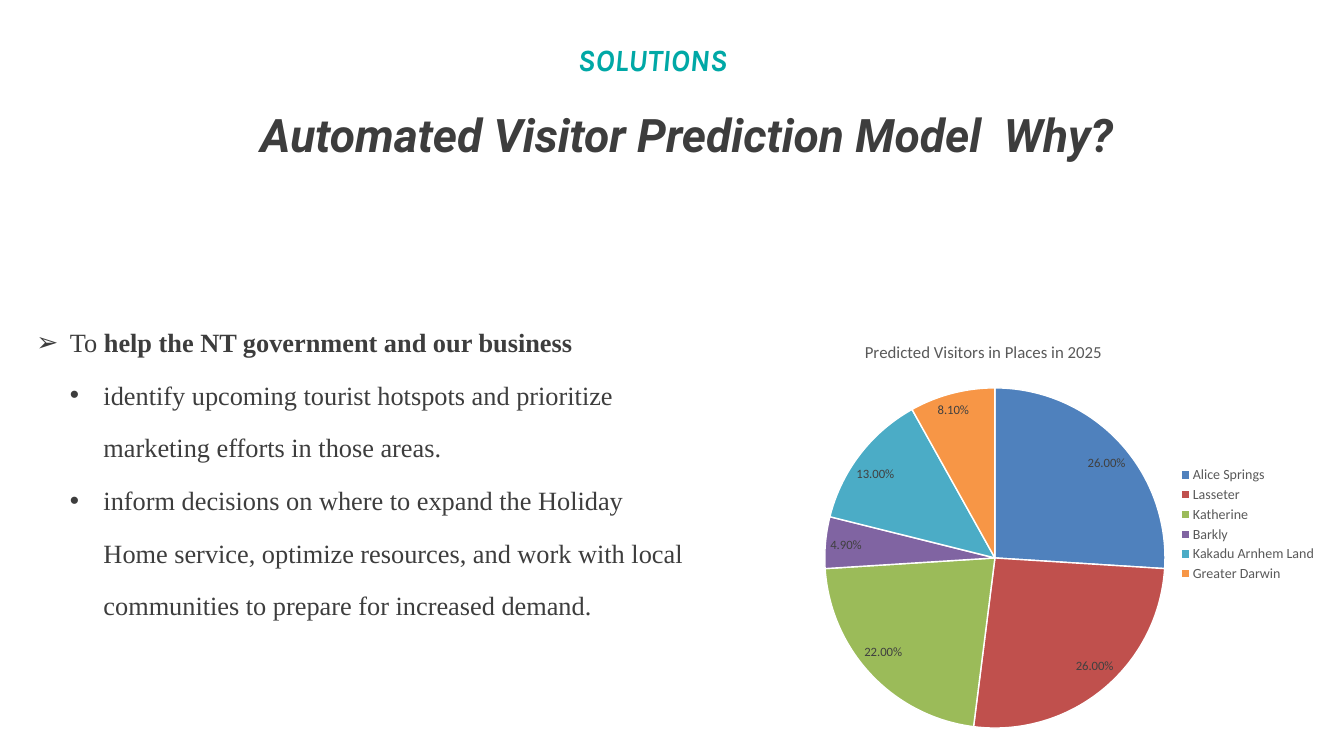
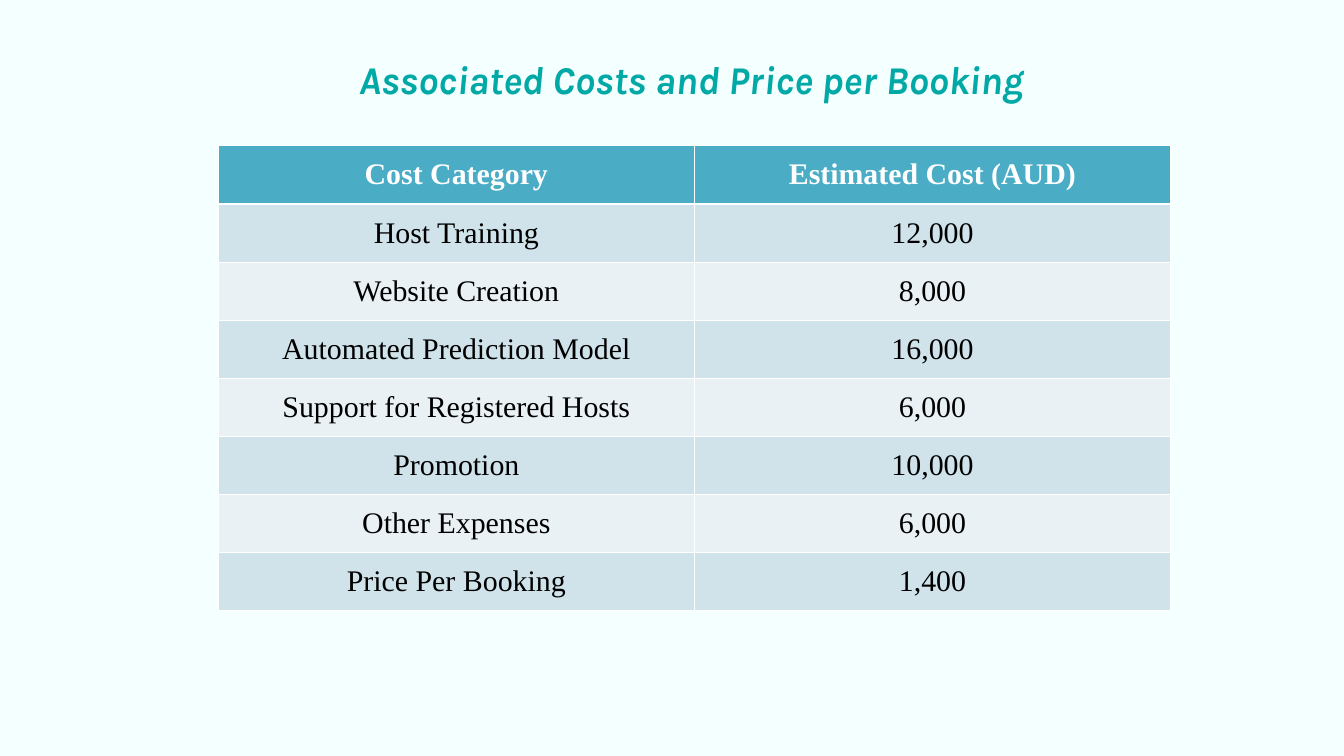
from lxml.etree import SubElement
from pptx import Presentation
from pptx.chart.data import CategoryChartData
from pptx.dml.color import RGBColor
from pptx.enum.chart import XL_CHART_TYPE, XL_LABEL_POSITION, XL_LEGEND_POSITION
from pptx.enum.text import MSO_ANCHOR, MSO_AUTO_SIZE, PP_ALIGN
from pptx.oxml import parse_xml
from pptx.oxml.ns import nsdecls, qn
from pptx.util import Inches, Pt

WHITE = RGBColor(0xFF, 0xFF, 0xFF)
BLACK = RGBColor(0, 0, 0)
MINT = RGBColor(0xF4, 0xFF, 0xFF)
TEAL = RGBColor(0x00, 0xA8, 0xA6)
CHARCOAL = RGBColor(0x3D, 0x3D, 0x3D)
LABEL_GREY = RGBColor(0x40, 0x40, 0x40)
CAPTION_GREY = RGBColor(0x59, 0x59, 0x59)
HEADER_BLUE = RGBColor(0x4B, 0xAC, 0xC6)
BAND_DARK = RGBColor(0xD0, 0xE3, 0xEA)
BAND_LIGHT = RGBColor(0xE9, 0xF1, 0xF5)

HEADING_FONT, KICKER_FONT = "Roboto", "Karla"
BODY_FONT, CHART_FONT = "Times New Roman", "Calibri"

KICKER = "SOLUTIONS"
MODEL_TITLE = "Automated Visitor Prediction Model  Why?"
COST_TITLE = "Associated Costs and Price per Booking"

REASONS = [
    (0, "➢", [("To ", False), ("help the NT government and our business", True)]),
    (1, "•", [("identify upcoming tourist hotspots and prioritize marketing "
               "efforts in those areas.", False)]),
    (1, "•", [("inform decisions on where to expand the Holiday Home service, "
               "optimize resources, and work with local communities to prepare "
               "for increased demand.", False)]),
]

CHART_TITLE = "Predicted Visitors in Places in 2025"
VISITOR_SHARES = [
    ("Alice Springs", 0.26, RGBColor(0x4F, 0x81, 0xBD)),
    ("Lasseter", 0.26, RGBColor(0xC0, 0x50, 0x4D)),
    ("Katherine", 0.22, RGBColor(0x9B, 0xBB, 0x59)),
    ("Barkly", 0.049, RGBColor(0x80, 0x64, 0xA2)),
    ("Kakadu Arnhem Land", 0.13, HEADER_BLUE),
    ("Greater Darwin", 0.081, RGBColor(0xF7, 0x96, 0x46)),
]

COSTS = [
    ("Cost Category", "Estimated Cost (AUD)"),
    ("Host Training", "12,000"),
    ("Website Creation", "8,000"),
    ("Automated Prediction Model", "16,000"),
    ("Support for Registered Hosts", "6,000"),
    ("Promotion", "10,000"),
    ("Other Expenses", "6,000"),
    ("Price Per Booking", "1,400"),
]


def style_font(font, name, size, color, bold=None, italic=None):
    font.name, font.size, font.bold, font.italic = name, Pt(size), bold, italic
    font.color.rgb = color


def place(shape, left, top, width, height):
    shape.left, shape.top = Inches(left), Inches(top)
    shape.width, shape.height = Inches(width), Inches(height)
    frame = shape.text_frame
    frame.word_wrap = True
    frame.auto_size = MSO_AUTO_SIZE.NONE
    frame.vertical_anchor = MSO_ANCHOR.TOP
    frame.margin_left = frame.margin_top = frame.margin_right = frame.margin_bottom = 0
    return frame


def write_heading(shape, box, text, name, size, color, line_spacing):
    paragraph = place(shape, *box).paragraphs[0]
    paragraph.text = text
    paragraph.alignment = PP_ALIGN.CENTER
    paragraph.line_spacing = Pt(line_spacing)
    style_font(paragraph.font, name, size, color, True, True)


def add_slide(presentation, layout_index, background):
    slide = presentation.slides.add_slide(presentation.slide_layouts[layout_index])
    slide.background.fill.solid()
    slide.background.fill.fore_color.rgb = background
    return slide


def write_reasons(shape):
    frame = place(shape, 0.54, 4.54, 9.71, 4.61)
    for index, (level, bullet, runs) in enumerate(REASONS):
        paragraph = frame.add_paragraph() if index else frame.paragraphs[0]
        paragraph.level = level
        paragraph.line_spacing = Pt(56.4)
        paragraph.space_before = Pt(0)
        properties = paragraph._p.get_or_add_pPr()
        properties.set("marL", str(Inches(0.5 * (level + 1))))
        properties.set("indent", str(Inches(-0.5)))
        SubElement(properties, qn("a:buFont"), typeface="Arial")
        SubElement(properties, qn("a:buChar"), char=bullet)
        style_font(paragraph.font, BODY_FONT, 28.2, CHARCOAL)
        for text, bold in runs:
            run = paragraph.add_run()
            run.text = text
            run.font.bold = bold


def set_layout(element, position, **shares):
    for layout in element.findall(qn("c:layout")):
        element.remove(layout)
    modes = "".join(f'<c:{axis}Mode val="edge"/>' for axis in "xy")
    values = "".join(f'<c:{key} val="{share}"/>' for key, share in shares.items())
    element.insert(position, parse_xml(
        f'<c:layout {nsdecls("c")}><c:manualLayout>{modes}{values}'
        "</c:manualLayout></c:layout>"))


def add_visitor_chart(slide):
    names, shares, colors = zip(*VISITOR_SHARES)
    data = CategoryChartData(number_format="0.00%")
    data.categories = names
    data.add_series("Series 1", shares)
    chart = slide.shapes.add_chart(
        XL_CHART_TYPE.PIE, Inches(11.61), Inches(4.71), Inches(8.09), Inches(6.25),
        data).chart
    style_font(chart.font, CHART_FONT, 10, BLACK)

    chart.has_title = True
    title = chart.chart_title.text_frame.paragraphs[0]
    title.text = CHART_TITLE
    style_font(title.font, CHART_FONT, 18, CAPTION_GREY, False)

    chart.has_legend = True
    chart.legend.position = XL_LEGEND_POSITION.RIGHT
    chart.legend.include_in_layout = False
    style_font(chart.legend.font, CHART_FONT, 15, CAPTION_GREY)

    plot = chart.plots[0]
    plot.vary_by_categories = True
    series = plot.series[0]
    for index, color in enumerate(colors):
        point = series.points[index].format
        point.fill.solid()
        point.fill.fore_color.rgb = color
        point.line.color.rgb = WHITE
        point.line.width = Pt(1.5)
    labels = series.data_labels
    labels.show_value = True
    labels.position = XL_LABEL_POSITION.BEST_FIT
    labels.number_format = "0.00%"
    labels.number_format_is_linked = False
    style_font(labels.font, CHART_FONT, 13.6, LABEL_GREY)

    root = chart.element.find(qn("c:chart"))
    set_layout(root.find(qn("c:title")), 1, x=0.15, y=0.05)
    set_layout(root.find(qn("c:plotArea")), 0, x=0.08, y=0.17, w=0.63, h=0.81)
    set_layout(root.find(qn("c:legend")), 1, x=0.73, y=0.35, w=0.26, h=0.29)


def add_borders(cell, top, bottom):
    properties = cell._tc.get_or_add_tcPr()
    for side, width in (("L", 1), ("R", 1), ("T", top), ("B", bottom)):
        line = SubElement(properties, qn(f"a:ln{side}"), w=str(Pt(width)))
        fill = SubElement(line, qn("a:solidFill"))
        SubElement(fill, qn("a:srgbClr"), val=str(WHITE))


def add_cost_table(slide):
    table = slide.shapes.add_table(
        len(COSTS), len(COSTS[0]), Inches(3.25), Inches(2.17),
        Inches(14.17), Inches(6.92)).table
    for row, texts in enumerate(COSTS):
        header = row == 0
        band = HEADER_BLUE if header else BAND_DARK if row % 2 else BAND_LIGHT
        for column, text in enumerate(texts):
            cell = table.cell(row, column)
            add_borders(cell, top=3 if row == 1 else 1, bottom=3 if header else 1)
            cell.fill.solid()
            cell.fill.fore_color.rgb = band
            cell.vertical_anchor = MSO_ANCHOR.MIDDLE
            paragraph = cell.text_frame.paragraphs[0]
            paragraph.text = text
            paragraph.alignment = PP_ALIGN.CENTER
            style_font(paragraph.font, BODY_FONT, 32, WHITE if header else BLACK, header)


def main():
    presentation = Presentation()
    presentation.slide_width, presentation.slide_height = Inches(20), Inches(11.25)

    model_slide = add_slide(presentation, 1, WHITE)
    write_heading(model_slide.shapes.title, (3.25, 1.38, 13.94, 2.02),
                  MODEL_TITLE, HEADING_FONT, 49.5, CHARCOAL, 74.3)
    kicker_box = model_slide.shapes.add_textbox(0, 0, 0, 0)
    write_heading(kicker_box, (7.51, 0.51, 4.4, 0.62),
                  KICKER, KICKER_FONT, 33.1, TEAL, 46.3)
    write_reasons(model_slide.placeholders[1])
    add_visitor_chart(model_slide)

    cost_slide = add_slide(presentation, 5, MINT)
    write_heading(cost_slide.shapes.title, (4.67, 0.71, 11.23, 0.83),
                  COST_TITLE, KICKER_FONT, 42.1, TEAL, 58.9)
    add_cost_table(cost_slide)

    presentation.save("out.pptx")


if __name__ == "__main__":
    main()
